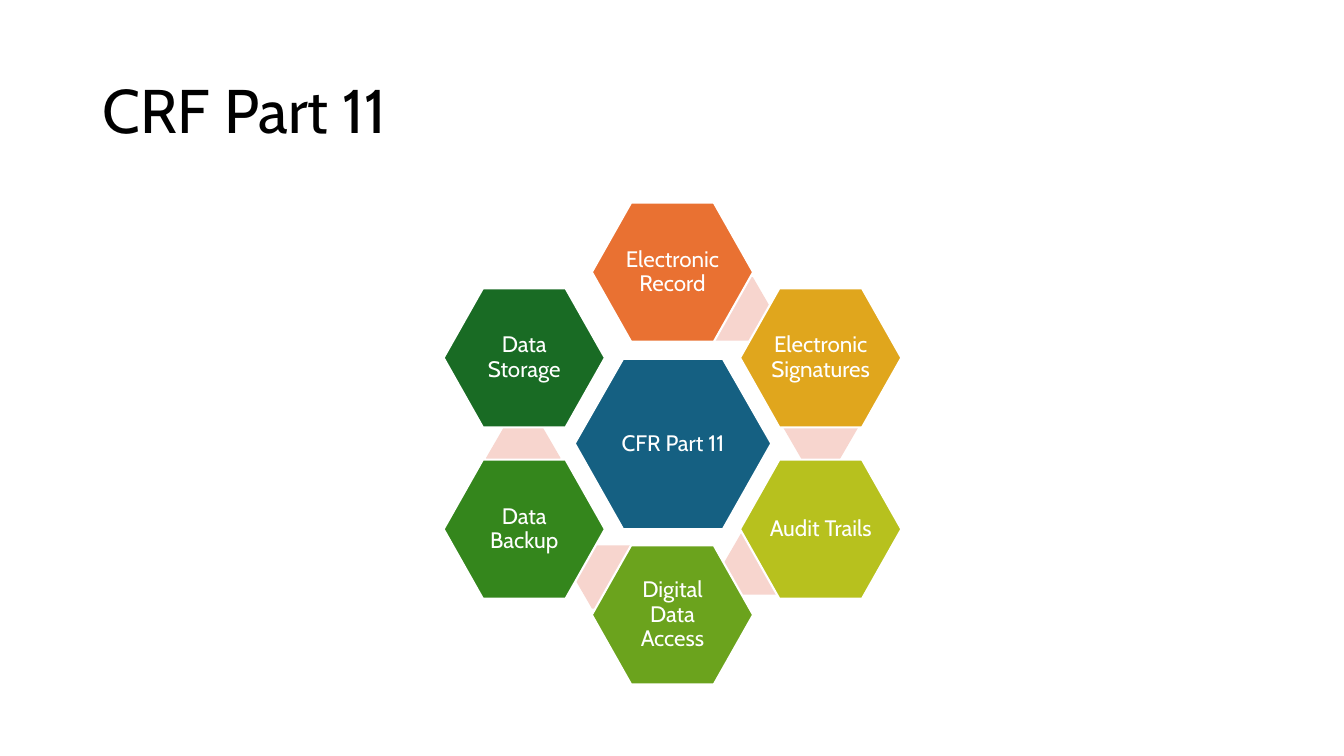
from dataclasses import dataclass

from pptx import Presentation
from pptx import util as u
from pptx.dml.color import RGBColor
from pptx.enum import shapes, text
from pptx.slide import Slide
from pptx.text.text import TextFrame

PX = 9144  # 100 px to the inch
FONT = "Cabin"
WHITE = "FFFFFF"
CORE_X, CORE_Y = 667, 440
RING_DX, RING_DY = 147, 85
LINK_WIDTH, LINK_HEIGHT = 74, 63
CORNER_SHARE = 0.246
INSET_SHARE = 0.18


@dataclass(frozen=True)
class Cell:
    label: str
    fill: str
    x: int  # centre
    y: int
    width: int = 160
    height: int = 138


@dataclass(frozen=True)
class Link:
    left: int
    top: int


def px(length: float) -> u.Emu:
    return u.Emu(round(length) * PX)


def colour(value: str) -> RGBColor:
    return RGBColor.from_string(value)


def ring_cell(label: str, fill: str, column: int, row: int) -> Cell:
    """Place a cell by its steps from the core."""
    return Cell(label, fill, CORE_X + column * RING_DX, CORE_Y + row * RING_DY)


CORE = Cell("CFR Part 11", "156082", CORE_X, CORE_Y, 195, 169)
RING = [
    ring_cell("Electronic Record", "E97132", 0, -2),
    ring_cell("Electronic Signatures", "E0A61D", 1, -1),
    ring_cell("Audit Trails", "B7C11E", 1, 1),
    ring_cell("Digital Data Access", "6BA31D", 0, 2),
    ring_cell("Data Backup", "34861C", -1, 1),
    ring_cell("Data Storage", "196B24", -1, -1),
]
LINKS = [Link(691, 275), Link(777, 393), Link(718, 527),
         Link(569, 541), Link(482, 423)]


def write(frame: TextFrame, words: str, size: int, ink: str,
          align: text.PP_ALIGN) -> None:
    frame.text = words
    frame.word_wrap = True
    frame.auto_size = text.MSO_AUTO_SIZE.NONE
    frame.vertical_anchor = text.MSO_ANCHOR.MIDDLE
    paragraph = frame.paragraphs[0]
    paragraph.alignment = align
    paragraph.line_spacing = 0.9
    paragraph.font.name = FONT
    paragraph.font.size = u.Pt(size)
    paragraph.font.color.rgb = colour(ink)


def draw_title(slide: Slide, words: str) -> None:
    title = slide.shapes.title
    title.left, title.top = px(92), px(40)
    title.width, title.height = px(1150), px(145)
    write(title.text_frame, words, 44, "000000", text.PP_ALIGN.LEFT)


def draw_link(slide: Slide, link: Link) -> None:
    hexagon = slide.shapes.add_shape(
        shapes.MSO_SHAPE.HEXAGON, px(link.left), px(link.top),
        px(LINK_WIDTH), px(LINK_HEIGHT))
    hexagon.adjustments[0] = 0.29
    hexagon.shadow.inherit = False
    hexagon.fill.solid()
    hexagon.fill.fore_color.rgb = colour("F7D5CE")
    hexagon.line.fill.background()


def draw_cell(slide: Slide, cell: Cell) -> None:
    left, top = round(cell.x - cell.width / 2), round(cell.y - cell.height / 2)
    right, bottom = left + cell.width, top + cell.height
    corner = round(cell.width * CORNER_SHARE)
    outline = slide.shapes.build_freeform(left, cell.y, scale=PX)
    outline.add_line_segments([
        (left + corner, top), (right - corner, top), (right, cell.y),
        (right - corner, bottom), (left + corner, bottom)])
    hexagon = outline.convert_to_shape()
    hexagon.shadow.inherit = False
    hexagon.fill.solid()
    hexagon.fill.fore_color.rgb = colour(cell.fill)
    hexagon.line.color.rgb = colour(WHITE)
    hexagon.line.width = u.Pt(1.5)
    frame = hexagon.text_frame
    frame.margin_left = frame.margin_right = px(cell.width * INSET_SHARE)
    frame.margin_top = frame.margin_bottom = px(cell.height * INSET_SHARE)
    write(frame, cell.label, 16, WHITE, text.PP_ALIGN.CENTER)


def main() -> None:
    deck = Presentation()
    deck.slide_width, deck.slide_height = px(1333), px(750)
    slide = deck.slides.add_slide(deck.slide_layouts.get_by_name("Title Only"))
    draw_title(slide, "CRF Part 11")
    draw_cell(slide, CORE)
    for link in LINKS:
        draw_link(slide, link)
    for cell in RING:
        draw_cell(slide, cell)
    deck.save("out.pptx")


if __name__ == "__main__":
    main()
